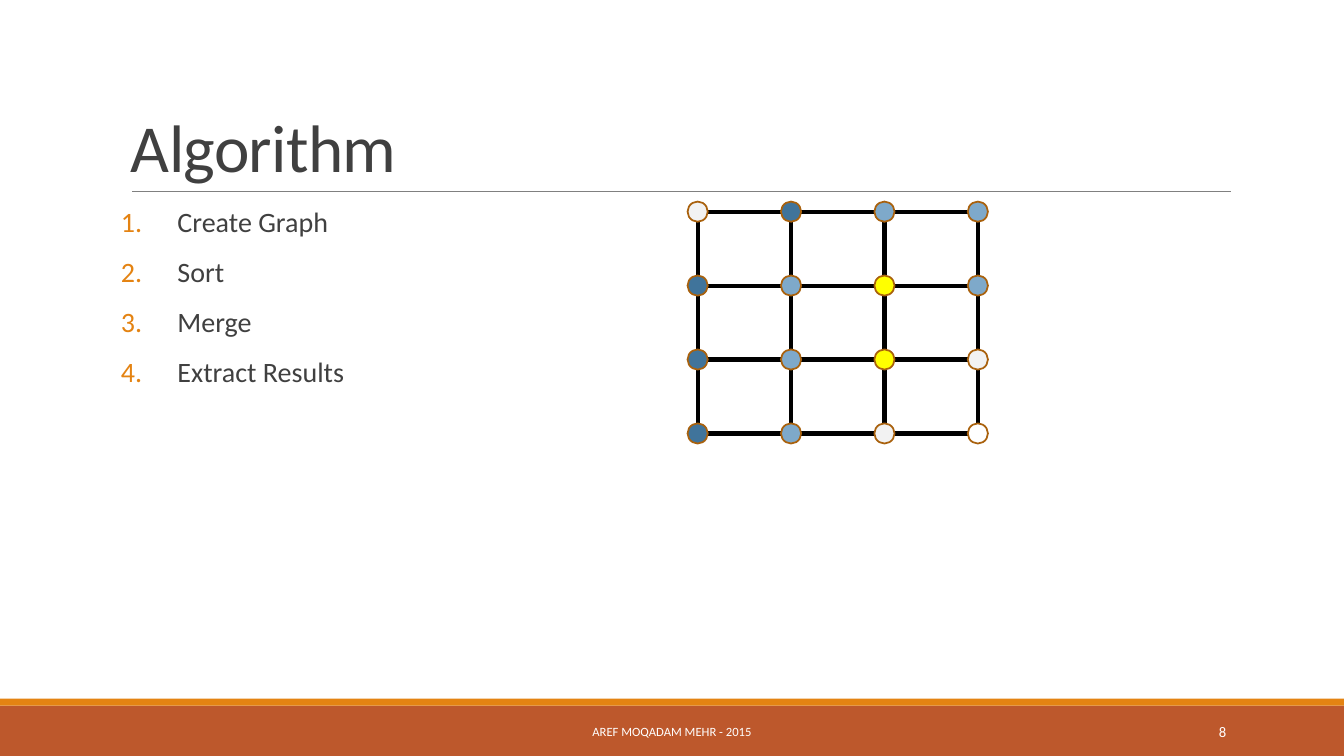
from lxml import etree
from pptx import Presentation
from pptx import util as u
from pptx.dml.color import RGBColor
from pptx.enum import shapes, text
from pptx.oxml.ns import qn

RUST = RGBColor(0xBD, 0x58, 0x2C)
ORANGE = RGBColor(0xE4, 0x83, 0x12)
BROWN = RGBColor(0xA9, 0x61, 0x0D)
GREY = RGBColor(0x80, 0x80, 0x80)
DARK = RGBColor(0x40, 0x40, 0x40)
BLACK = RGBColor(0x00, 0x00, 0x00)
WHITE = RGBColor(0xFF, 0xFF, 0xFF)
PALE = RGBColor(0xF2, 0xF2, 0xF2)
STEEL = RGBColor(0x40, 0x74, 0x9B)
SKY = RGBColor(0x7E, 0xA9, 0xCA)
YELLOW = RGBColor(0xFF, 0xFF, 0x00)

FONT = "Calibri"
WIDTH, HEIGHT = u.Inches(13.33), u.Inches(7.5)

STEPS = ["Create Graph", "Sort", "Merge", "Extract Results"]
NODE_FILLS = [
    [PALE, STEEL, SKY, SKY],
    [STEEL, SKY, YELLOW, SKY],
    [STEEL, SKY, YELLOW, PALE],
    [STEEL, SKY, PALE, WHITE],
]
# First node centre and distance between nodes, in percent of the slide
GRAPH_LEFT, GRAPH_TOP = 51.91, 28
COL_STEP, ROW_STEP = 6.95, 9.78
RADIUS = u.Inches(0.1)


def px(percent):
    return round(WIDTH * percent / 100)


def py(percent):
    return round(HEIGHT * percent / 100)


def add_filled(s, kind, x, y, w, h, fill, outline=None):
    sp = s.shapes.add_shape(kind, x, y, w, h)
    sp.shadow.inherit = False
    sp.fill.solid()
    sp.fill.fore_color.rgb = fill
    if outline is None:
        sp.line.fill.background()
    else:
        sp.line.color.rgb = outline
        sp.line.width = u.Pt(1.25)


def add_line(s, x1, y1, x2, y2, color, width):
    line = s.shapes.add_connector(shapes.MSO_CONNECTOR.STRAIGHT, x1, y1, x2, y2)
    line.line.color.rgb = color
    line.line.width = u.Pt(width)
    etree.SubElement(line._element.spPr, qn("a:effectLst"))


def add_text(s, box, wording, size, color, anchor, align=text.PP_ALIGN.LEFT):
    """Place a text box given in percent of the slide; return its frame."""
    x, y, w, h = box
    tf = s.shapes.add_textbox(px(x), py(y), px(w), py(h)).text_frame
    tf.word_wrap = True
    tf.vertical_anchor = anchor
    tf.text = wording
    for p in tf.paragraphs:
        p.alignment = align
        for r in p.runs:
            r.font.name = FONT
            r.font.size = u.Pt(size)
            r.font.color.rgb = color
    return tf


def number_paragraph(p):
    pPr = p._p.get_or_add_pPr()
    indent = u.Inches(0.56)
    pPr.set("marL", str(indent))
    pPr.set("indent", str(-indent))
    color = etree.SubElement(pPr, qn("a:buClr"))
    etree.SubElement(color, qn("a:srgbClr"), val=str(ORANGE))
    etree.SubElement(pPr, qn("a:buFont"), typeface="+mj-lt")
    etree.SubElement(pPr, qn("a:buAutoNum"), type="arabicPeriod")


def add_title(s, wording):
    tf = add_text(s, (9, 4.13, 82.5, 21.2), wording, 48, DARK,
                  text.MSO_ANCHOR.BOTTOM)
    p = tf.paragraphs[0]
    p.line_spacing = 0.85
    p.runs[0].font._element.set("spc", "-50")
    add_line(s, px(9.83), py(25.33), px(91.6), py(25.33), GREY, 0.5)


def add_steps(s, steps):
    tf = add_text(s, (9, 26.93, 82.5, 58.67), "\n".join(steps), 20, DARK,
                  text.MSO_ANCHOR.TOP)
    tf.margin_left = tf.margin_right = 0
    for p in tf.paragraphs:
        p.line_spacing = 0.9
        p.space_before = u.Pt(12)
        p.space_after = u.Pt(2)
        number_paragraph(p)


def add_graph(s, fills):
    xs = [px(GRAPH_LEFT + i * COL_STEP) for i in range(len(fills[0]))]
    ys = [py(GRAPH_TOP + i * ROW_STEP) for i in range(len(fills))]
    # Edges run from rim to rim
    for y in ys:
        for x1, x2 in zip(xs, xs[1:]):
            add_line(s, x1 + RADIUS, y, x2 - RADIUS, y, BLACK, 3)
    for x in xs:
        for y1, y2 in zip(ys, ys[1:]):
            add_line(s, x, y1 + RADIUS, x, y2 - RADIUS, BLACK, 3)
    # Nodes
    for y, row in zip(ys, fills):
        for x, fill in zip(xs, row):
            add_filled(s, shapes.MSO_SHAPE.OVAL, x - RADIUS, y - RADIUS,
                       2 * RADIUS, 2 * RADIUS, fill, BROWN)


def add_footer(s, credit, number):
    for top, height, fill in ((93.33, 6.67, RUST), (92.4, 0.93, ORANGE)):
        add_filled(s, shapes.MSO_SHAPE.RECTANGLE, 0, py(top), WIDTH,
                   py(height), fill)
    add_text(s, (30.23, 94.13, 39.53, 5.33), credit, 9, WHITE,
             text.MSO_ANCHOR.MIDDLE, text.PP_ALIGN.CENTER)
    add_text(s, (81.25, 94.13, 10.73, 5.33), number, 10.5, WHITE,
             text.MSO_ANCHOR.MIDDLE, text.PP_ALIGN.RIGHT)


def main():
    prs = Presentation()
    prs.slide_width, prs.slide_height = WIDTH, HEIGHT
    s = prs.slides.add_slide(prs.slide_layouts[6])
    add_footer(s, "AREF MOQADAM MEHR - 2015", "8")
    add_title(s, "Algorithm")
    add_steps(s, STEPS)
    add_graph(s, NODE_FILLS)
    prs.save("out.pptx")


if __name__ == "__main__":
    main()
